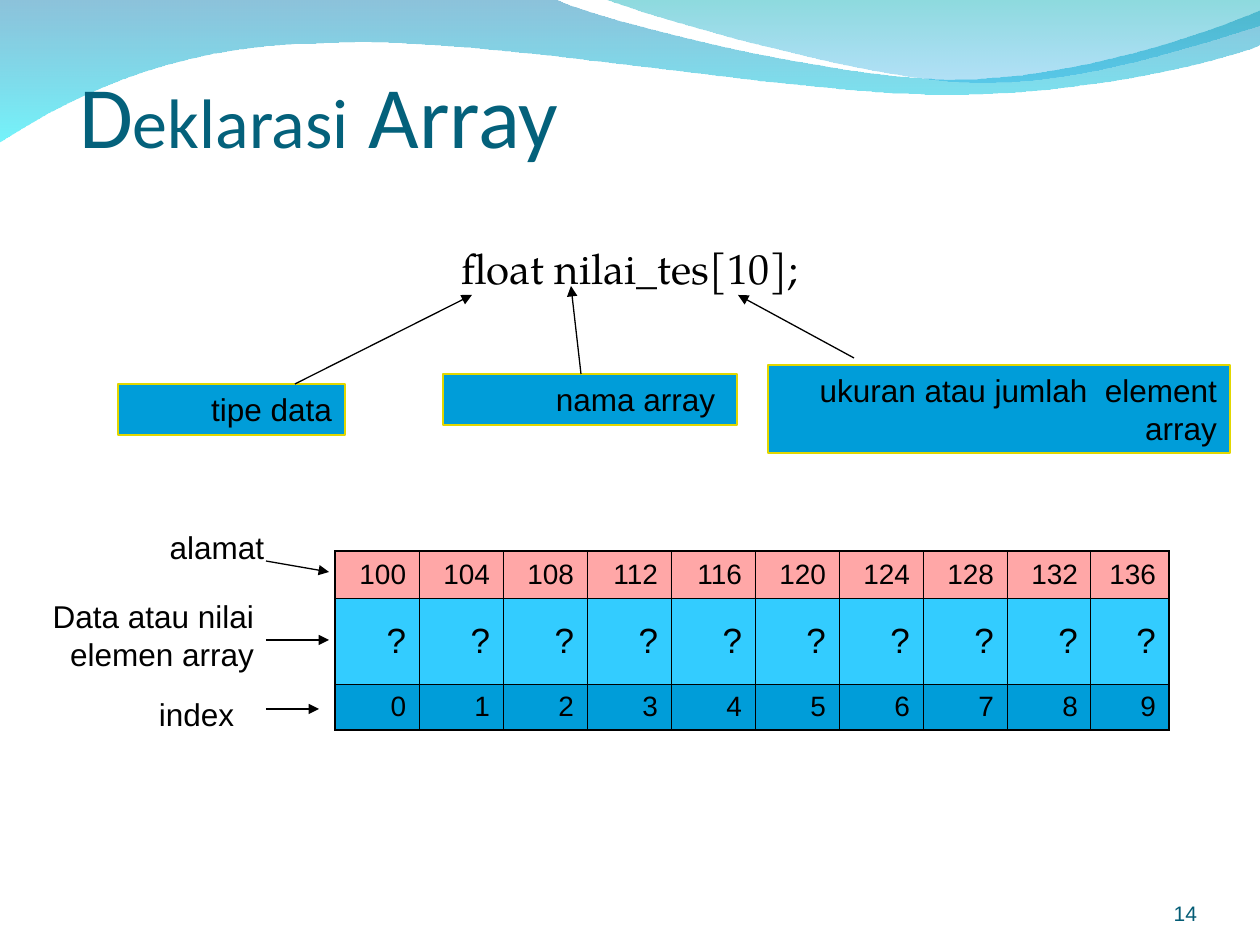
from lxml import etree
from pptx import Presentation
from pptx import util as u
from pptx.dml.color import RGBColor
from pptx.enum import shapes, text
from pptx.oxml import ns

PX = 914400 / 126
BLACK, TEAL, BLUE = "000000", "04617B", "009DD9"
LEFT, CENTER, RIGHT = text.PP_ALIGN.LEFT, text.PP_ALIGN.CENTER, text.PP_ALIGN.RIGHT
TOP, BOTTOM = text.MSO_ANCHOR.TOP, text.MSO_ANCHOR.BOTTOM

# Each wave: start point, then lines (one point) and curves (three points);
# gradient stops are (colour, opacity in percent).
WAVES = [
    ((0, -1),
     [[(554, -1)],
      [(600, 21), (837, 79), (955, 79)],
      [(1075, 79), (1207, 33), (1260, 11)],
      [(1261, 45)],
      [(1239, 55), (1096, 96), (940, 94)],
      [(784, 94), (481, 35), (324, 43)],
      [(163, 44), (58, 105), (-1, 142)]],
     [("0079AF", 45), ("00EBF8", 55)]),
    ((604, -1),
     [[(641, 14), (859, 78), (969, 82)],
      [(1079, 87), (1211, 40), (1260, 26)],
      [(1260, 0)]],
     [("00ADB6", 45), ("009BE5", 30)]),
]
TITLE = [("D", 50), ("eklarasi", 40), (" Array", 50)]
CALLOUTS = [
    ("tipe data", (118, 384, 227, 51)),
    ("nama array ", (443, 374, 294, 51)),
    ("ukuran atau jumlah  element array", (768, 365, 462, 88)),
]
ROW_LABELS = [
    ("alamat", (109, 522, 168, 51)),
    ("Data atau nilai elemen array", (1, 591, 266, 88)),
    ("index", (79, 689, 168, 51)),
]
ARROWS = [
    ((295, 384), (472, 295)),
    ((581, 374), (571, 286)),
    ((854, 358), (738, 295)),
    ((266, 561), (329, 572)),
    ((266, 640), (329, 640)),
    ((266, 709), (319, 709)),
]
COUNT = 10
# values, height, font size, fill, opacity
ROWS = [
    ([100 + 4 * i for i in range(COUNT)], 47, 16, "FF5050", 50),
    (["?"] * COUNT, 86, 20, "33CCFF", 100),
    (range(COUNT), 46, 16, BLUE, 100),
]
COLUMN_WIDTHS = [84] * (COUNT - 1) + [78]
TABLE_AT = (335, 551)
OUTER, INNER = 1.08, 0.45


def px(value):
    return u.Emu(round(value * PX))


def rgb(value):
    return RGBColor.from_string(value)


def set_opacity(element, percent):
    """Give every plain colour inside the element an alpha value."""
    for color in element.iter(ns.qn("a:srgbClr")):
        etree.SubElement(color, ns.qn("a:alpha"), val=str(percent * 1000))


def bend_curves(shape, segments):
    """Turn each run of three line points that stands for a curve into a Bezier."""
    lines = iter(list(shape.element.iter(ns.qn("a:lnTo"))))
    for segment in segments:
        parts = [next(lines) for point in segment]
        if len(parts) == 3:
            bezier = etree.Element(ns.qn("a:cubicBezTo"))
            parts[0].addprevious(bezier)
            for part in parts:
                bezier.append(part[0])
                part.getparent().remove(part)


def add_wave(slide, start, segments, stops):
    points = [(px(x), px(y)) for segment in segments for x, y in segment]
    builder = slide.shapes.build_freeform(px(start[0]), px(start[1]), scale=1.0)
    builder.add_line_segments(points, close=True)
    shape = builder.convert_to_shape()
    bend_curves(shape, segments)
    shape.shadow.inherit = False
    shape.line.fill.background()
    shape.fill.gradient()
    shape.fill.gradient_angle = 270
    gradient_elements = shape.element.spPr.iter(ns.qn("a:gs"))
    for stop, element, (color, opacity) in zip(
            shape.fill.gradient_stops, gradient_elements, stops):
        stop.color.rgb = rgb(color)
        set_opacity(element, opacity)


def set_font(target, name, size, color=BLACK):
    target.font.name = name
    target.font.size = u.Pt(size)
    target.font.color.rgb = rgb(color)


def write(shape, runs, name, color=BLACK, align=RIGHT, anchor=TOP, insets=(13, 6, 13, 6)):
    """Fill a shape with one paragraph of (text, size) runs; insets are left, top, right, bottom."""
    frame = shape.text_frame
    frame.word_wrap = True
    frame.vertical_anchor = anchor
    (frame.margin_left, frame.margin_top,
     frame.margin_right, frame.margin_bottom) = map(px, insets)
    paragraph = frame.paragraphs[0]
    paragraph.alignment = align
    set_font(paragraph, name, runs[0][1], color)
    for content, size in runs:
        run = paragraph.add_run()
        run.text = content
        if size != runs[0][1]:
            run.font.size = u.Pt(size)


def add_text(slide, box, runs, name, **options):
    write(slide.shapes.add_textbox(*map(px, box)), runs, name, **options)


def add_callout(slide, label, box):
    shape = slide.shapes.add_shape(shapes.MSO_SHAPE.RECTANGLE, *map(px, box))
    shape.shadow.inherit = False
    shape.fill.solid()
    shape.fill.fore_color.rgb = rgb(BLUE)
    shape.line.color.rgb = rgb("E2D700")
    shape.line.width = u.Pt(0.75)
    write(shape, [(label, 18)], "Arial")


def add_arrow(slide, start, end):
    arrow = slide.shapes.add_connector(shapes.MSO_CONNECTOR.STRAIGHT, *map(px, start + end))
    arrow.line.color.rgb = rgb(BLACK)
    arrow.line.width = u.Pt(0.75)
    etree.SubElement(arrow.line._get_or_add_ln(), ns.qn("a:tailEnd"), type="triangle")
    etree.SubElement(arrow.element.spPr, ns.qn("a:effectLst"))


def set_borders(cell, widths):
    """Draw black borders; widths are in the order left, right, top, bottom."""
    properties = cell._tc.get_or_add_tcPr()
    for index, (side, width) in enumerate(zip("LRTB", widths)):
        line = etree.Element(ns.qn(f"a:ln{side}"), w=str(u.Pt(width)))
        fill = etree.SubElement(line, ns.qn("a:solidFill"))
        etree.SubElement(fill, ns.qn("a:srgbClr"), val=BLACK)
        properties.insert(index, line)


def fill_cell(cell, value, size, color, opacity):
    cell.vertical_anchor = text.MSO_ANCHOR.MIDDLE
    cell.margin_left = cell.margin_right = px(13)
    cell.margin_top = cell.margin_bottom = px(6)
    cell.fill.solid()
    cell.fill.fore_color.rgb = rgb(color)
    if opacity < 100:
        set_opacity(cell._tc.tcPr, opacity)
    paragraph = cell.text_frame.paragraphs[0]
    paragraph.alignment = RIGHT
    paragraph._p.get_or_add_pPr().set("rtl", "1")
    run = paragraph.add_run()
    run.text = str(value)
    set_font(run, "DejaVu Sans", size)
    # Right-to-left text is drawn in the complex-script font.
    etree.SubElement(run._r.get_or_add_rPr(), ns.qn("a:cs"), typeface="Arial")


def add_memory_table(slide):
    size = (sum(COLUMN_WIDTHS), sum(row[1] for row in ROWS))
    table = slide.shapes.add_table(len(ROWS), COUNT, *map(px, TABLE_AT + size)).table
    table.first_row = table.horz_banding = False
    for column, width in zip(table.columns, COLUMN_WIDTHS):
        column.width = px(width)
    for r, (values, height, font_size, color, opacity) in enumerate(ROWS):
        table.rows[r].height = px(height)
        for c, value in enumerate(values):
            cell = table.cell(r, c)
            fill_cell(cell, value, font_size, color, opacity)
            edges = (c == 0, c == COUNT - 1, r == 0, r == len(ROWS) - 1)
            set_borders(cell, [OUTER if edge else INNER for edge in edges])


def main():
    presentation = Presentation()
    presentation.slide_width, presentation.slide_height = px(1260), px(945)
    slide = presentation.slides.add_slide(presentation.slide_layouts[6])
    for wave in WAVES:
        add_wave(slide, *wave)
    add_text(slide, (1092, 876, 105, 50), [("14", 12)], "Arial",
             color="045C75", anchor=BOTTOM, insets=(0, 0, 0, 0))
    add_text(slide, (29, 237, 1201, 604), [("float nilai_tes[10];", 24)],
             "TeX Gyre Pagella", align=CENTER)
    add_text(slide, (79, 69, 1125, 97), TITLE, "Calibri",
             color=TEAL, align=LEFT, anchor=BOTTOM, insets=(0, 6, 0, 0))
    for label, box in CALLOUTS:
        add_callout(slide, label, box)
    add_memory_table(slide)
    for label, box in ROW_LABELS:
        add_text(slide, box, [(label, 18)], "Arial")
    for start, end in ARROWS:
        add_arrow(slide, start, end)
    presentation.save("out.pptx")


if __name__ == "__main__":
    main()
